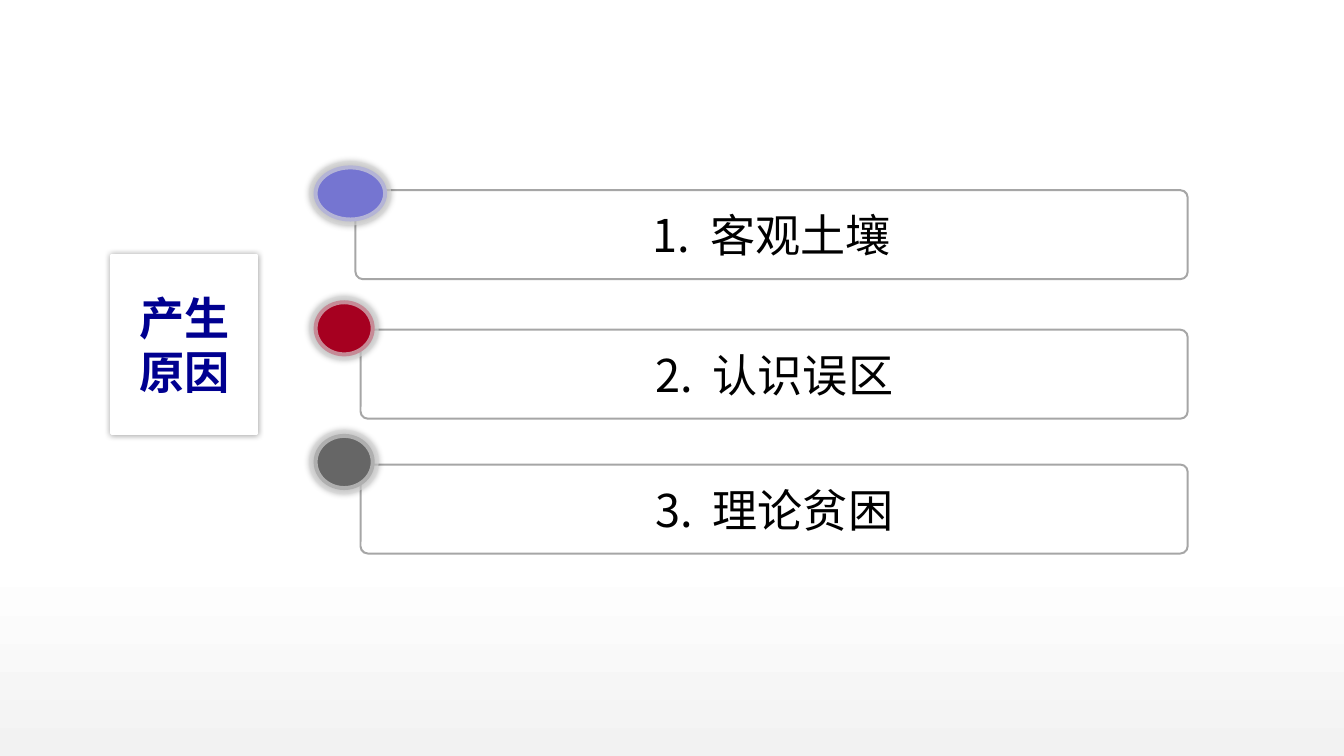
import pptx
import pptx.util
import pptx.dml.color
import pptx.enum.shapes
import pptx.enum.text
import pptx.oxml
import pptx.oxml.ns
from lxml import etree

Pt = pptx.util.Pt
Shapes = pptx.enum.shapes.MSO_SHAPE

WIDTH, HEIGHT = 1012.32, 569.52
FONT = "Noto Sans CJK SC"
COLOURS = {
    "white": "FFFFFF",
    "floor": "F2F2F2",
    "bar_line": "A6A6A6",
    "ring": "D9D9D9",
    "text": "000000",
    "title": "000090",
    "violet": "7575D1",
    "red": "A60020",
    "grey": "666666",
}

# Number, reason, bar left, bar top, dot top, dot width, dot colour
REASONS = [
    ("1.", "客观土壤", 267.8, 143.3, 124.6, 55.4, "violet"),
    ("2.", "认识误区", 271.6, 248.4, 226.2, 46, "red"),
    ("3.", "理论贫困", 271.6, 350, 326.9, 46, "grey"),
]
BAR_RIGHT, BAR_HEIGHT = 894.6, 67
DOT_LEFT, DOT_HEIGHT = 236.2, 42.3


def colour(name):
    return pptx.dml.color.RGBColor.from_string(COLOURS[name])


def child(parent, tag, **attributes):
    return etree.SubElement(parent, pptx.oxml.ns.qn(tag), attributes)


def add_box(shapes, kind, left, top, width, height, fill=None, line=None, weight=1):
    box = shapes.add_shape(kind, Pt(left), Pt(top), Pt(width), Pt(height))
    box.shadow.inherit = False
    if fill:
        box.fill.solid()
        box.fill.fore_color.rgb = colour(fill)
    else:
        box.fill.background()
    if line:
        box.line.color.rgb = colour(line)
        box.line.width = Pt(weight)
    else:
        box.line.fill.background()
    return box


def add_glow_shadow(box):
    effects = box._element.spPr.find(pptx.oxml.ns.qn("a:effectLst"))
    shadow = child(effects, "a:outerShdw", blurRad=str(Pt(5)), dist="0", dir="0",
                   algn="ctr", rotWithShape="0")
    black = child(shadow, "a:srgbClr", val="000000")
    child(black, "a:alpha", val="39000")


def write(box, *words, font=FONT, size=34, ink="text", bold=False, wrap=True, gap=0):
    """Write the words in one centred line, widening each space by gap points."""
    frame = box.text_frame
    frame.word_wrap = wrap
    frame.vertical_anchor = pptx.enum.text.MSO_ANCHOR.MIDDLE
    para = frame.paragraphs[0]
    para.alignment = pptx.enum.text.PP_ALIGN.CENTER
    for word in words:
        span = para.add_run()
        span.text = word
        span.font.name = font
        span.font.size = Pt(size)
        span.font.bold = bold
        span.font.color.rgb = colour(ink)
        properties = span.font._element
        child(properties, "a:ea", typeface=FONT)
        if word == " ":
            properties.set("spc", str(int(gap * 100)))


def add_backdrop(page):
    backdrop = add_box(page.shapes, Shapes.RECTANGLE, 0, 0, WIDTH, HEIGHT)
    backdrop.fill.gradient()
    backdrop.fill.gradient_angle = 90
    stops = backdrop.fill.gradient_stops
    for stop, name, position in zip(stops, ("floor", "white"), (0, 0.26)):
        stop.color.rgb = colour(name)
        stop.position = position


def add_reason(page, number, reason, left, top, dot_top, dot_width, dot_colour):
    shapes = page.shapes.add_group_shape().shapes
    bar = add_box(shapes, Shapes.ROUNDED_RECTANGLE, left, top, BAR_RIGHT - left,
                  BAR_HEIGHT, line="bar_line", weight=1.5)
    bar.adjustments[0] = 0.082
    write(bar, number, " ", reason, wrap=False, gap=7.6)

    dot = add_box(shapes, Shapes.OVAL, DOT_LEFT, dot_top, dot_width, DOT_HEIGHT,
                  fill=dot_colour, line="ring", weight=6)
    ring = dot.line.fill._xPr.find(".//" + pptx.oxml.ns.qn("a:srgbClr"))
    child(ring, "a:alpha", val="63000")
    add_glow_shadow(dot)


def add_title(page):
    title = add_box(page.shapes, Shapes.RECTANGLE, 84.2, 192.2, 109.4, 134.6,
                    fill="white", line="white", weight=2)
    add_glow_shadow(title)
    frame = title.text_frame
    frame.margin_left = frame.margin_right = Pt(10)
    frame.margin_top = frame.margin_bottom = Pt(5)
    write(title, "产生原因", font="Arial", ink="title", bold=True)


def main():
    deck = pptx.Presentation()
    deck.slide_width, deck.slide_height = Pt(WIDTH), Pt(HEIGHT)
    page = deck.slides.add_slide(deck.slide_layouts[6])

    # Backdrop
    add_backdrop(page)
    # Three reasons
    for reason in REASONS:
        add_reason(page, *reason)
    # Title card
    add_title(page)

    deck.save("out.pptx")


if __name__ == "__main__":
    main()
